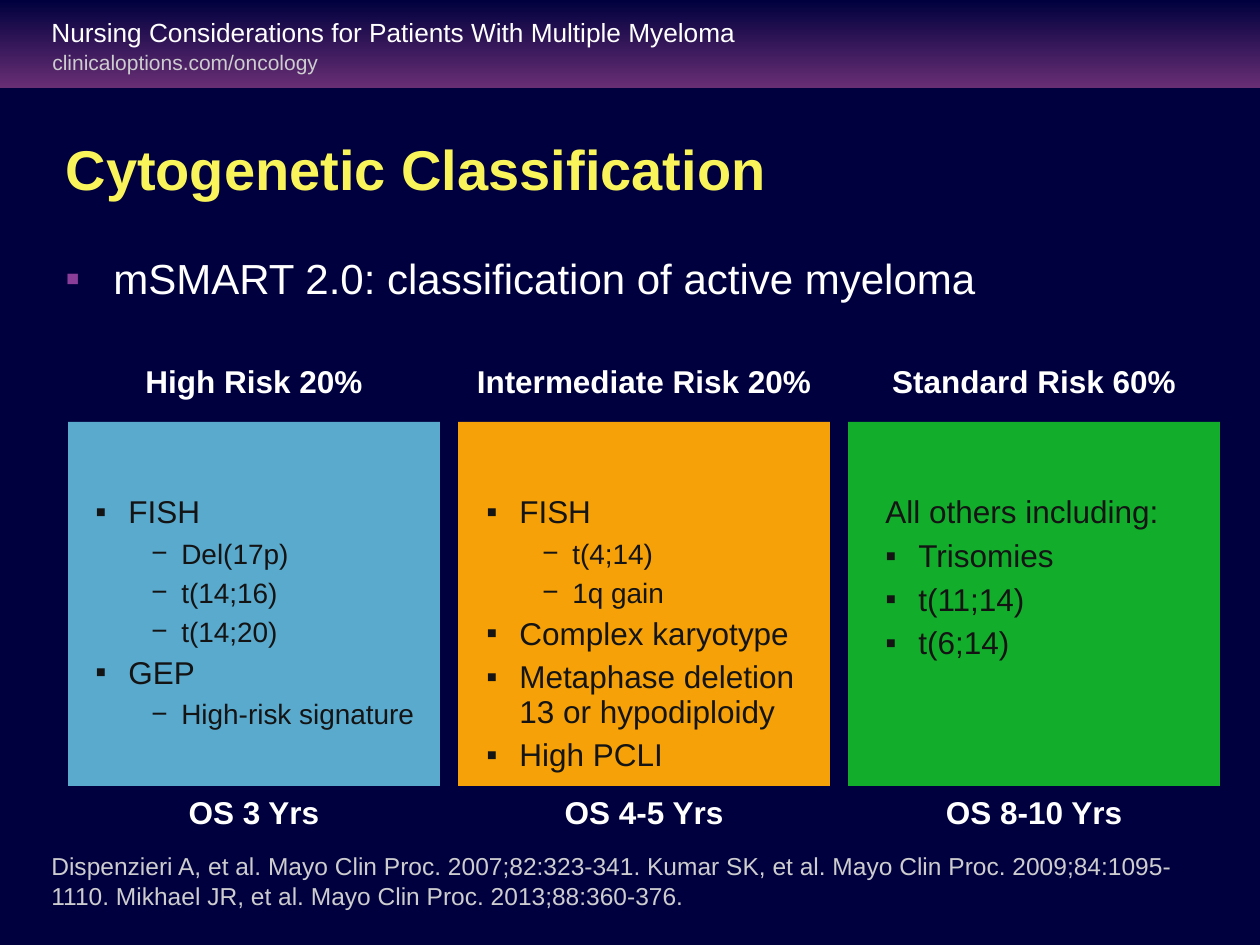
"""Build the cytogenetic classification slide."""
import pptx
import pptx.dml.color
import pptx.enum.shapes
import pptx.enum.text
import pptx.oxml.ns
import pptx.util
from lxml import etree

SCALE = 914400 / 126
COLORS = {
    "background": "00003E", "band": "682E74", "title": "F8F45A",
    "light": "FFFFFF", "muted": "CDCDCF", "dark": "141415", "bullet": "8B3D9A",
    "high": "5AAACE", "intermediate": "F6A108", "standard": "12AD2B",
}
ALIGN = pptx.enum.text.PP_ALIGN
ANCHOR = pptx.enum.text.MSO_ANCHOR
CARD_LEFT, CARD_TOP, CARD_WIDTH, CARD_HEIGHT, CARD_STEP = 68, 422, 372, 364, 390

CARDS = [
    ("High Risk 20%", "high", "OS 3 Yrs", 83, 365,
     [(1, "FISH"), (2, "Del(17p)"), (2, "t(14;16)"), (2, "t(14;20)"),
      (1, "GEP"), (2, "High-risk signature")]),
    ("Intermediate Risk 20%", "intermediate", "OS 4-5 Yrs", 474, 354,
     [(1, "FISH"), (2, "t(4;14)"), (2, "1q gain"), (1, "Complex karyotype"),
      (1, "Metaphase deletion 13 or hypodiploidy"), (1, "High PCLI")]),
    ("Standard Risk 60%", "standard", "OS 8-10 Yrs", 873, 315,
     [(0, "All others including:"), (1, "Trisomies"), (1, "t(11;14)"), (1, "t(6;14)")]),
]
LEVELS = [
    dict(size=18, margin=33, hanging=33, after=5.6),
    dict(size=18, margin=33, hanging=33, after=5.6, bullet="▪"),
    dict(size=16, margin=86, hanging=30, after=5, bullet="−", level=1),
]


def px(length):
    """Turn pixels into EMU."""
    return pptx.util.Emu(round(length * SCALE))


def rgb(name):
    """Look up a named colour."""
    return pptx.dml.color.RGBColor.from_string(COLORS[name])


def write(para, text, size=18, color="light", bold=False, align=ALIGN.LEFT, spacing=1.0,
          after=0, margin=0, hanging=0, bullet=None, bullet_color="dark", level=0):
    """Fill a paragraph with formatted text."""
    para.level = level
    para.alignment = align
    para.line_spacing = spacing
    para.space_before = pptx.util.Pt(0)
    para.space_after = pptx.util.Pt(after)
    properties = para._p.get_or_add_pPr()
    properties.set("marL", str(px(margin)))
    properties.set("indent", str(px(-hanging)))
    qn = pptx.oxml.ns.qn
    if bullet:
        tint = etree.SubElement(properties, qn("a:buClr"))
        etree.SubElement(tint, qn("a:srgbClr"), val=COLORS[bullet_color])
        etree.SubElement(properties, qn("a:buFont"), typeface="Arial")
        etree.SubElement(properties, qn("a:buChar"), char=bullet)
    else:
        etree.SubElement(properties, qn("a:buNone"))
    span = para.add_run()
    span.text = text
    span.font.name = "Arial"
    span.font.size = pptx.util.Pt(size)
    span.font.bold = bold
    span.font.color.rgb = rgb(color)


class Painter:
    """Hold the current slide and draw its elements."""

    def __init__(self, page):
        self.page = page
        page.background.fill.solid()
        page.background.fill.fore_color.rgb = rgb("background")

    def title(self, text, left, top, width, height):
        """Place and format the title."""
        box = self.page.shapes.title
        box.left, box.top, box.width, box.height = map(px, (left, top, width, height))
        box.text_frame.vertical_anchor = ANCHOR.MIDDLE
        box.text_frame.auto_size = pptx.enum.text.MSO_AUTO_SIZE.NONE
        write(box.text_frame.paragraphs[0], text, size=32, color="title", bold=True)

    def rectangle(self, left, top, width, height, color, fade=None):
        """Draw a borderless rectangle, optionally fading upward."""
        box = self.page.shapes.add_shape(
            pptx.enum.shapes.MSO_SHAPE.RECTANGLE, *map(px, (left, top, width, height)))
        box.shadow.inherit = False
        box.line.fill.background()
        if fade:
            box.fill.gradient()
            box.fill.gradient_angle = 90
            for stop, name in zip(box.fill.gradient_stops, (color, fade)):
                stop.color.rgb = rgb(name)
        else:
            box.fill.solid()
            box.fill.fore_color.rgb = rgb(color)

    def frame(self, left, top, width, height, anchor=ANCHOR.TOP):
        """Add an empty wrapping text frame."""
        box = self.page.shapes.add_textbox(*map(px, (left, top, width, height)))
        box.text_frame.word_wrap = True
        box.text_frame.vertical_anchor = anchor
        return box.text_frame

    def label(self, text, left, top, width, height, anchor=ANCHOR.TOP, **style):
        """Add a text box with one paragraph."""
        write(self.frame(left, top, width, height, anchor).paragraphs[0], text, **style)

    def outline(self, items, left, top, width, height):
        """Add a list of levelled items."""
        frame = self.frame(left, top, width, height)
        for index, (depth, text) in enumerate(items):
            para = frame.add_paragraph() if index else frame.paragraphs[0]
            write(para, text, color="dark", spacing=0.9, **LEVELS[depth])


def main():
    """Build and save the deck."""
    deck = pptx.Presentation()
    deck.slide_width, deck.slide_height = px(1260), px(945)
    painter = Painter(deck.slides.add_slide(deck.slide_layouts[5]))

    painter.rectangle(0, 0, 1260, 88, "band", fade="background")
    painter.label("clinicaloptions.com/oncology", 40, 43, 291, 38, size=12, color="muted")
    painter.label("Nursing Considerations for Patients With Multiple Myeloma",
                  39, 10, 988, 44, size=15)
    painter.title("Cytogenetic Classification", 53, 92, 1167, 152)
    painter.label("mSMART 2.0: classification of active myeloma", 53, 252, 1166, 60, size=24,
                  spacing=0.9, margin=48, hanging=48, bullet="▪", bullet_color="bullet")

    caption = dict(bold=True, align=ALIGN.CENTER, spacing=0.9)
    for index, (heading, color, survival, list_left, list_width, items) in enumerate(CARDS):
        left = CARD_LEFT + index * CARD_STEP
        painter.rectangle(left, CARD_TOP, CARD_WIDTH, CARD_HEIGHT, color)
        painter.label(heading, left, 360, CARD_WIDTH, 46, anchor=ANCHOR.MIDDLE, **caption)
        painter.outline(items, list_left, 490, list_width, 290)
        painter.label(survival, left, 791, CARD_WIDTH, 47, **caption)

    painter.label("Dispenzieri A, et al. Mayo Clin Proc. 2007;82:323-341. Kumar SK, et al. "
                  "Mayo Clin Proc. 2009;84:1095-1110. Mikhael JR, et al. "
                  "Mayo Clin Proc. 2013;88:360-376.", 39, 845, 1147, 72, size=14, color="muted")
    deck.save("out.pptx")


if __name__ == "__main__":
    main()
